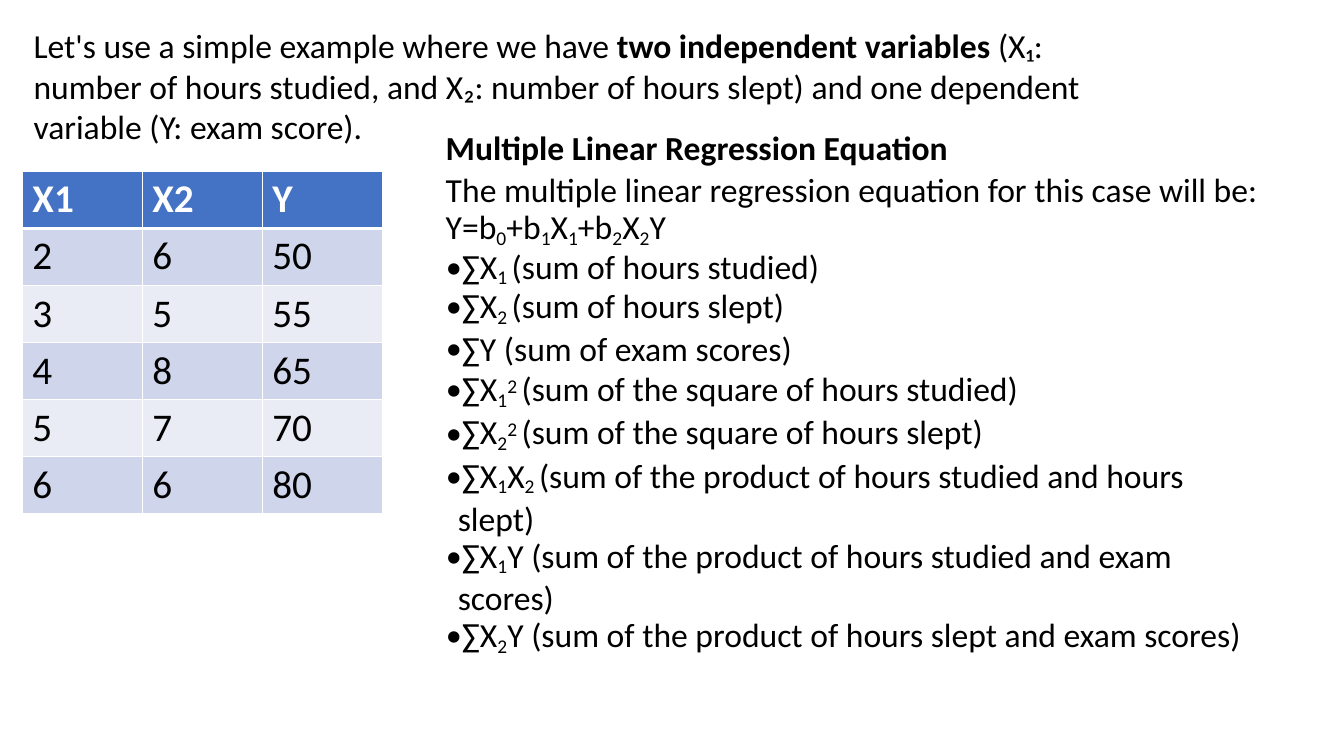
from lxml.etree import SubElement
from pptx import Presentation
from pptx.dml.color import RGBColor as RGB
from pptx.enum.text import MSO_ANCHOR as Anchor, MSO_AUTO_SIZE as AutoSize, PP_ALIGN as Align
from pptx.oxml.ns import qn
from pptx.util import Pt

COLORS = {
    "text": "000000",
    "white": "FFFFFF",
    "header": "4472C4",
    "band_dark": "CFD5EA",
    "band_light": "E9EBF5",
}
BASELINES = {"_": "-17000", "^": "24000"}

INTRO = ("Let's use a simple example where we have |*two independent variables |"
         "(X₁: number of hours studied, and X₂: number of hours slept) and one dependent")
INTRO_END = "variable (Y: exam score)."
HEADING = "*Multiple Linear Regression Equation"
EQUATION = ("The multiple linear regression equation for this case will be: "
            "Y=b|_0|+b|_1|X|_1|+b|_2|X|_2|Y")
# Each sum with its line spacing in points (None is single spacing)
SUMS = [
    ("∑X|_1 |(sum of hours studied)", 28.1),
    ("∑X|_2 |(sum of hours slept)", 28.4),
    ("∑Y (sum of exam scores)", 28.4),
    ("∑X|_1|^2 |(sum of the square of hours studied)", None),
    ("∑X|_2|^2 |(sum of the square of hours slept)", None),
    ("∑X|_1|X|_2 |(sum of the product of hours studied and hours slept)", None),
    ("∑X|_1|Y (sum of the product of hours studied and exam scores)", 28.4),
    ("∑X|_2|Y (sum of the product of hours slept and exam scores)", 28.4),
]
SCORES = [
    ("X1", "X2", "Y"),
    ("2", "6", "50"),
    ("3", "5", "55"),
    ("4", "8", "65"),
    ("5", "7", "70"),
    ("6", "6", "80"),
]


def write(p, text, font="Calibri", size=24, color="text", bold=False,
          line=None, before=0, indent=0, bullet=False):
    """Fill a paragraph; pieces between | may start with * bold, _ sub or ^ super."""
    pPr = p._p.get_or_add_pPr()
    pPr.set("marL", str(Pt(indent)))
    pPr.set("indent", str(-Pt(8.6) if bullet else 0))
    if bullet:
        pPr.set("marR", str(Pt(14)))
        SubElement(pPr, qn("a:buSzPct"), val="96000")
        SubElement(pPr, qn("a:buFont"), typeface="Calibri")
        SubElement(pPr, qn("a:buChar"), char="•")
        tabs = SubElement(pPr, qn("a:tabLst"))
        SubElement(tabs, qn("a:tab"), pos=str(Pt(indent)), algn="l")
    else:
        SubElement(pPr, qn("a:buNone"))
    p.alignment = Align.LEFT
    p.space_before = Pt(before)
    p.line_spacing = Pt(line) if line else 1.0
    for piece in text.split("|"):
        mark = piece[0] if piece[0] in "*_^" else ""
        r = p.add_run()
        r.text = piece[len(mark):]
        r.font.name, r.font.size = font, Pt(size)
        r.font.bold = bold or mark == "*"
        r.font.color.rgb = RGB.from_string(COLORS[color])
        if mark in BASELINES:
            r._r.get_or_add_rPr().set("baseline", BASELINES[mark])


class SlideBuilder:
    def __init__(self, slide, colors):
        self.slide = slide
        self.colors = colors

    def frame(self, sp, left, top, width, height):
        """Place a shape and give its text frame the slide's common settings."""
        sp.left, sp.top, sp.width, sp.height = map(Pt, (left, top, width, height))
        tf = sp.text_frame
        tf.word_wrap = True
        tf.auto_size = AutoSize.NONE
        tf.vertical_anchor = Anchor.TOP
        tf.margin_left = tf.margin_right = tf.margin_bottom = 0
        tf.margin_top = Pt(2)
        return tf

    def title(self, text, *box):
        tf = self.frame(self.slide.shapes.title, *box)
        write(tf.paragraphs[0], text, indent=1)

    def textbox(self, text, *box):
        tf = self.frame(self.slide.shapes.add_textbox(0, 0, 0, 0), *box)
        write(tf.paragraphs[0], text, indent=1)

    def body(self, heading, lead, items, *box):
        tf = self.frame(self.slide.placeholders[1], *box)
        write(tf.paragraphs[0], heading, indent=2.9)
        write(tf.add_paragraph(), lead, line=29, before=0.8, indent=2.9)
        for text, line in items:
            write(tf.add_paragraph(), text, line=line, indent=11.5, bullet=True)

    def borders(self, cell, **widths):
        tcPr = cell._tc.get_or_add_tcPr()
        for i, (side, width) in enumerate(widths.items()):
            ln = SubElement(tcPr, qn(f"a:ln{side}"), w=str(Pt(width)))
            fill = SubElement(ln, qn("a:solidFill"))
            SubElement(fill, qn("a:srgbClr"), val=self.colors["white"])
            tcPr.insert(i, ln)

    def table(self, rows, left, top, col_width, row_height):
        n_rows, n_cols = len(rows), len(rows[0])
        table = self.slide.shapes.add_table(
            n_rows, n_cols, Pt(left), Pt(top),
            Pt(col_width * n_cols), Pt(row_height * n_rows)).table
        for col in table.columns:
            col.width = Pt(col_width)
        for i, values in enumerate(rows):
            table.rows[i].height = Pt(row_height)
            band = "header" if i == 0 else "band_dark" if i % 2 else "band_light"
            for j, value in enumerate(values):
                cell = table.cell(i, j)
                cell.margin_left, cell.margin_top = Pt(7.2), Pt(3)
                cell.margin_right = cell.margin_bottom = 0
                cell.fill.solid()
                cell.fill.fore_color.rgb = RGB.from_string(self.colors[band])
                self.borders(cell, L=1, R=1, T=3 if i == 1 else 1, B=3 if i == 0 else 1)
                write(cell.text_frame.paragraphs[0], value, size=28,
                      color="text" if i else "white", bold=i == 0)


def main():
    prs = Presentation()
    prs.slide_width, prs.slide_height = Pt(960), Pt(540)
    s = SlideBuilder(prs.slides.add_slide(prs.slide_layouts[1]), COLORS)

    # Example introduction
    s.title(INTRO, 23, 16, 752, 60)
    s.textbox(INTRO_END, 23, 73.5, 237, 31)

    # Study data
    s.table(SCORES, 16, 122.4, 85.7, 40.8)

    # Regression equation and the sums it needs
    s.body(HEADING, EQUATION, SUMS, 315.5, 88.5, 596, 319)

    prs.save("out.pptx")


if __name__ == "__main__":
    main()
